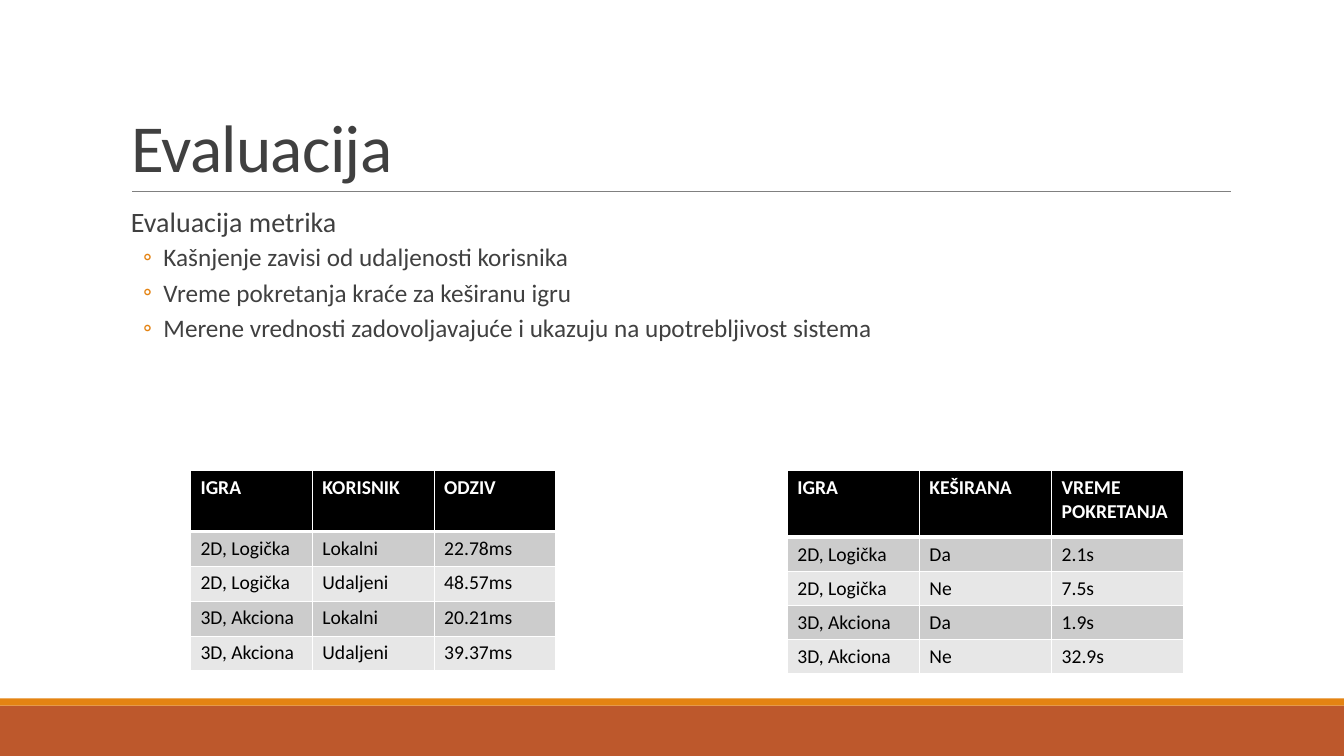
from lxml.etree import SubElement
from pptx import Presentation
from pptx.dml.color import RGBColor
from pptx.enum.shapes import MSO_CONNECTOR, MSO_SHAPE
from pptx.enum.text import MSO_ANCHOR, MSO_AUTO_SIZE, PP_ALIGN
from pptx.oxml import parse_xml
from pptx.oxml.ns import nsdecls, qn
from pptx.util import Cm, Pt

FONT = "Calibri"
TEXT = "404040"
ORANGE = "E48312"
RUST = "BD582C"
WHITE = "FFFFFF"
BLACK = "000000"
BANDS = ("CCCCCC", "E7E7E7")


def rgb(color):
    return RGBColor.from_string(color)


class EvaluationSlide:
    def __init__(self, slide):
        self.slide = slide
        self.shapes = slide.shapes

    def style(self, paragraph, size, color, bold=False):
        font = paragraph.font
        font.name, font.size, font.bold = FONT, Pt(size), bold
        font.color.rgb = rgb(color)

    def band(self, top, height, color):
        strip = self.shapes.add_shape(MSO_SHAPE.RECTANGLE, 0, Cm(top), Cm(33.87), Cm(height))
        strip.shadow.inherit = False
        strip.fill.solid()
        strip.fill.fore_color.rgb = rgb(color)
        strip.line.fill.background()

    def rule(self, left, right, y):
        divider = self.shapes.add_connector(
            MSO_CONNECTOR.STRAIGHT, Cm(left), Cm(y), Cm(right), Cm(y))
        divider.line.color.rgb = rgb("808080")
        divider.line.width = Pt(0.5)
        SubElement(divider._element.spPr, qn("a:effectLst"))

    def place(self, holder, left, top, width, height):
        holder.left, holder.top = Cm(left), Cm(top)
        holder.width, holder.height = Cm(width), Cm(height)
        frame = holder.text_frame
        frame.word_wrap = True
        frame.auto_size = MSO_AUTO_SIZE.NONE
        return frame

    def title(self, text, *box):
        frame = self.place(self.shapes.title, *box)
        frame.vertical_anchor = MSO_ANCHOR.BOTTOM
        frame.text = text
        heading = frame.paragraphs[0]
        heading.alignment = PP_ALIGN.LEFT
        heading.line_spacing = 0.85
        self.style(heading, 48, TEXT)
        heading._p.pPr.find(qn("a:defRPr")).set("spc", "-50")

    def bullet(self, paragraph, symbol, margin, hanging):
        props = paragraph._p.get_or_add_pPr()
        props.set("marL", str(Cm(margin)))
        props.set("indent", str(-Cm(hanging)))
        color = SubElement(props, qn("a:buClr"))
        SubElement(color, qn("a:srgbClr")).set("val", ORANGE)
        SubElement(props, qn("a:buFont")).set("typeface", FONT)
        SubElement(props, qn("a:buChar")).set("char", symbol)

    def body(self, lead, points, *box):
        frame = self.place(self.slide.placeholders[1], *box)
        frame.margin_left = frame.margin_right = 0
        frame.margin_top = frame.margin_bottom = Cm(0.13)
        frame.vertical_anchor = MSO_ANCHOR.TOP
        frame.text = "\n".join([lead, *points])
        for index, paragraph in enumerate(frame.paragraphs):
            is_point = index > 0
            paragraph.level = int(is_point)
            paragraph.alignment = PP_ALIGN.LEFT
            paragraph.line_spacing = 0.9
            paragraph.space_before = Pt(2 if is_point else 12)
            paragraph.space_after = Pt(4 if is_point else 2)
            self.bullet(paragraph, *(("◦", 1.07, 0.51) if is_point else (" ", 0.25, 0.25)))
            self.style(paragraph, 18 if is_point else 20, TEXT)

    def borders(self, cell, row):
        widths = {"L": 1, "R": 1, "T": 3 if row == 1 else 1, "B": 3 if row == 0 else 1}
        for position, (side, width) in enumerate(widths.items()):
            cell._tc.get_or_add_tcPr().insert(position, parse_xml(
                f'<a:ln{side} {nsdecls("a")} w="{Pt(width)}"><a:solidFill>'
                f'<a:srgbClr val="{WHITE}"/></a:solidFill></a:ln{side}>'))

    def table(self, rows, left, top, column_width, header_height, row_height):
        columns = len(rows[0])
        height = header_height + row_height * (len(rows) - 1)
        grid = self.shapes.add_table(len(rows), columns, Cm(left), Cm(top),
                                     Cm(column_width * columns), Cm(height)).table
        for column in grid.columns:
            column.width = Cm(column_width)
        for r, values in enumerate(rows):
            header = r == 0
            grid.rows[r].height = Cm(header_height if header else row_height)
            for c, value in enumerate(values):
                cell = grid.cell(r, c)
                cell.text = value
                cell.fill.solid()
                cell.fill.fore_color.rgb = rgb(BLACK if header else BANDS[(r - 1) % 2])
                self.borders(cell, r)
                self.style(cell.text_frame.paragraphs[0], 14,
                           WHITE if header else BLACK, header)


def main():
    deck = Presentation()
    deck.slide_width, deck.slide_height = Cm(33.87), Cm(19.05)
    page = EvaluationSlide(deck.slides.add_slide(deck.slide_layouts[1]))

    # Footer bands and title rule
    page.band(17.78, 1.27, RUST)
    page.band(17.6, 0.18, ORANGE)
    page.rule(3.33, 31.01, 4.83)

    # Title and findings
    page.title("Evaluacija", 3.05, 0.79, 27.94, 4.04)
    page.body("Evaluacija metrika", [
        "Kašnjenje zavisi od udaljenosti korisnika",
        "Vreme pokretanja kraće za keširanu igru",
        "Merene vrednosti zadovoljavajuće i ukazuju na upotrebljivost sistema",
    ], 3.05, 5.13, 27.94, 11.18)

    # Response times
    page.table([
        ("IGRA", "KORISNIK", "ODZIV"),
        ("2D, Logička", "Lokalni", "22.78ms"),
        ("2D, Logička", "Udaljeni", "48.57ms"),
        ("3D, Akciona", "Lokalni", "20.21ms"),
        ("3D, Akciona", "Udaljeni", "39.37ms"),
    ], 4.8, 11.86, 3.07, 1.53, 0.88)

    # Start-up times
    page.table([
        ("IGRA", "KEŠIRANA", "VREME POKRETANJA"),
        ("2D, Logička", "Da", "2.1s"),
        ("2D, Logička", "Ne", "7.5s"),
        ("3D, Akciona", "Da", "1.9s"),
        ("3D, Akciona", "Ne", "32.9s"),
    ], 19.84, 11.86, 3.33, 1.68, 0.86)

    deck.save("out.pptx")


if __name__ == "__main__":
    main()
